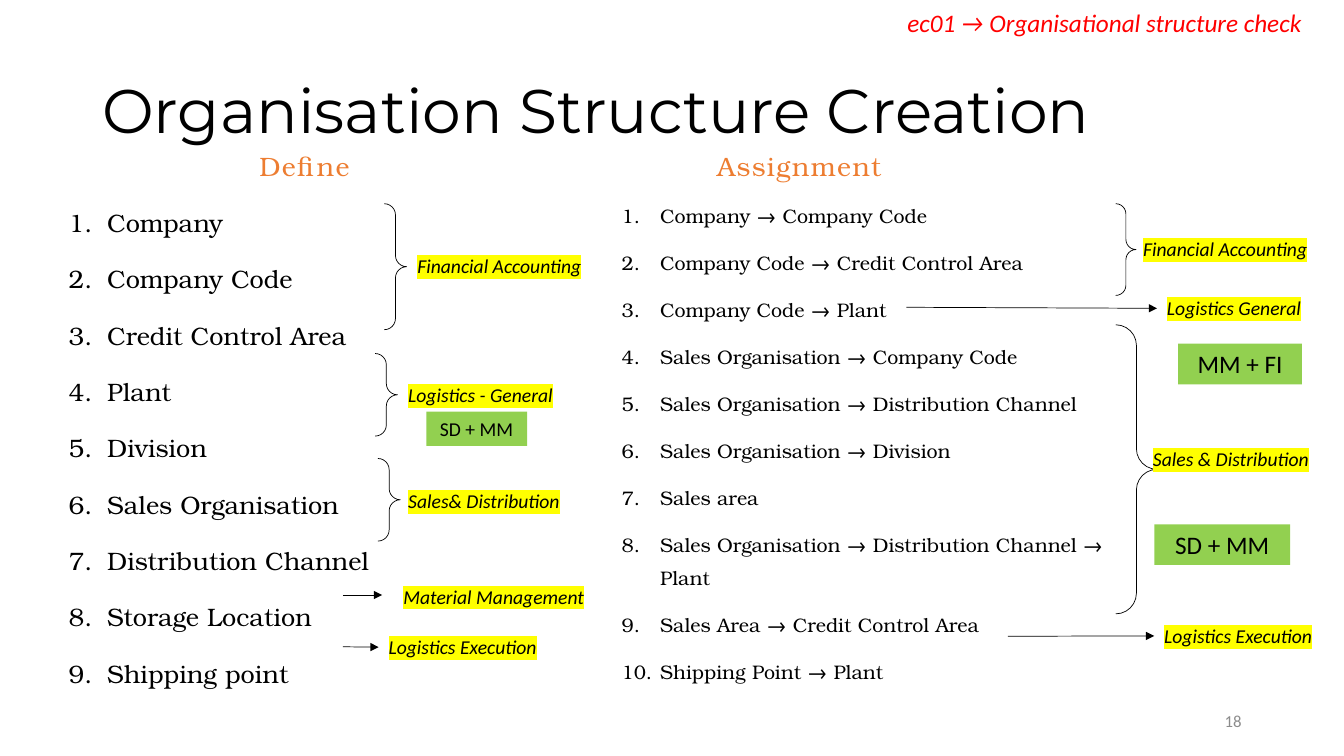
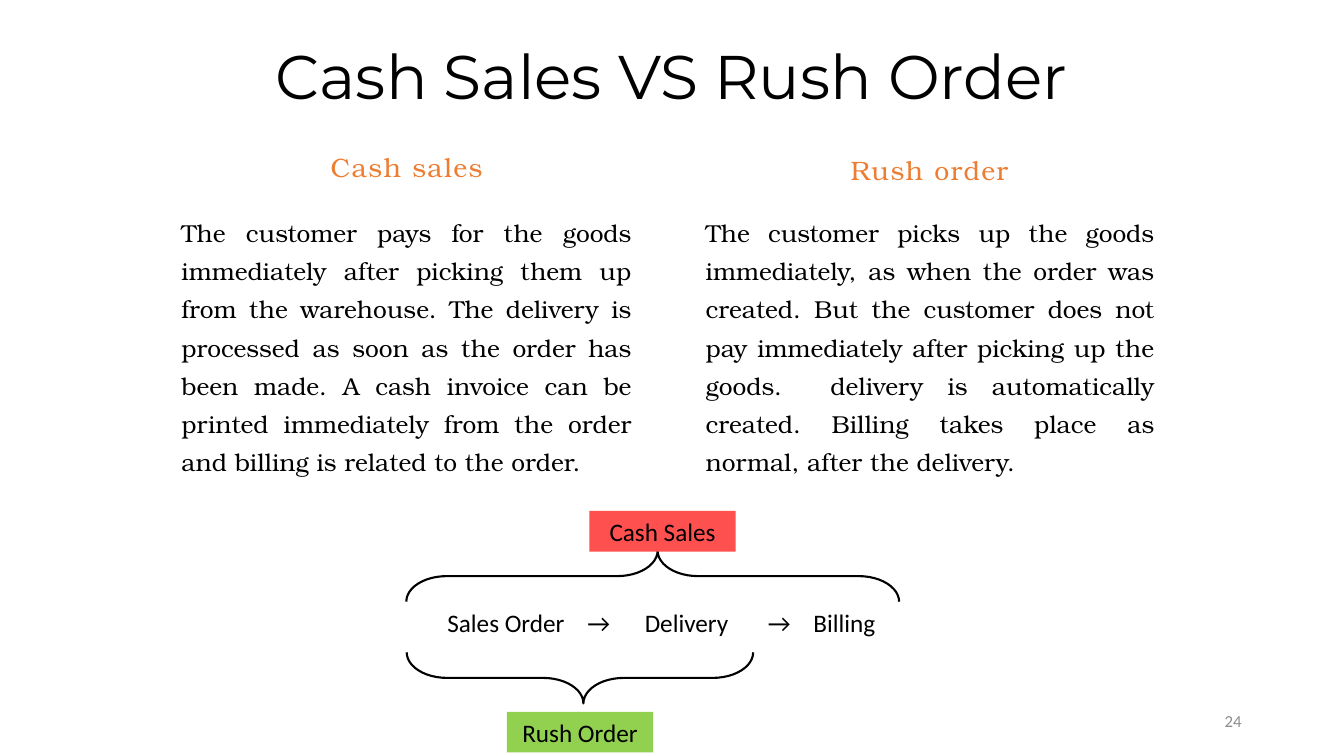
from dataclasses import dataclass, replace

from lxml import etree
from pptx import Presentation
from pptx.dml.color import RGBColor
from pptx.enum.shapes import MSO_CONNECTOR, MSO_SHAPE
from pptx.enum.text import MSO_ANCHOR, PP_ALIGN
from pptx.oxml.ns import qn
from pptx.util import Pt

COLOURS = {
    "ink": "000000", "heading": "ED7D31", "number": "8C8C8C", "hint": "FF0000",
    "marker": "FFFF00", "green": "92D050", "red": "FF5050",
}
SANS, SERIF, DISPLAY = "Calibri", "TeX Gyre Bonum", "Montserrat"
LEFT, CENTRE, RIGHT, JUSTIFY = PP_ALIGN.LEFT, PP_ALIGN.CENTER, PP_ALIGN.RIGHT, PP_ALIGN.JUSTIFY
TOP, MIDDLE, BOTTOM = MSO_ANCHOR.TOP, MSO_ANCHOR.MIDDLE, MSO_ANCHOR.BOTTOM
STRAIGHT = MSO_CONNECTOR.STRAIGHT
RECTANGLE, RIGHT_BRACE = MSO_SHAPE.RECTANGLE, MSO_SHAPE.RIGHT_BRACE
LEFT_SIDE = 1
NUMBER_INDENT = 27.5


@dataclass(frozen=True)
class Area:
    left: float
    top: float
    width: float
    height: float

    def lengths(self) -> list:
        return [Pt(value) for value in (self.left, self.top, self.width, self.height)]


@dataclass(frozen=True)
class Style:
    font: str = SANS
    size: float = 18
    colour: str = "ink"
    italic: bool = False
    marker: bool = False
    tracking: float = 0
    align: PP_ALIGN = LEFT
    anchor: MSO_ANCHOR = TOP
    line: float = 1.0
    before: float = 0
    numbered: bool = False
    tabs: tuple = ()


@dataclass(frozen=True)
class Brace:
    area: Area
    rotation: float = 0
    curl: float = 0.5
    tip: float = 0.5
    weight: float = 0.5


@dataclass(frozen=True)
class Label:
    text: str
    left: float
    top: float
    width: float = 138


@dataclass(frozen=True)
class Arrow:
    start: tuple
    end: tuple
    label: str = ""


@dataclass(frozen=True)
class Tag:
    text: str
    area: Area
    fill: str = "green"
    size: float = 18


TITLE = Style(DISPLAY, 44, anchor=MIDDLE, line=0.9)
HEADING = Style(SERIF, 19, "heading", tracking=1, align=CENTRE, line=0.9, before=10)
NUMBERED = Style(SERIF, 18, line=1.4, before=10, numbered=True)
PROSE = Style(SERIF, 17.5, align=JUSTIFY, line=1.3, before=10)
PAGE_NUMBER = Style(size=12, colour="number", align=RIGHT, anchor=MIDDLE)
HINT = Style(colour="hint", italic=True)
LABEL = Style(size=14, italic=True, marker=True)
FLOW = Style(tabs=(100, 141, 229, 261.5))

DEFINE_STEPS = (
    "Company", "Company Code", "Credit Control Area", "Plant", "Division",
    "Sales Organisation", "Distribution Channel", "Storage Location", "Shipping point",
)
ASSIGNMENT_STEPS = (
    "Company → Company Code",
    "Company Code → Credit Control Area",
    "Company Code → Plant",
    "Sales Organisation → Company Code",
    "Sales Organisation → Distribution Channel",
    "Sales Organisation → Division",
    "Sales area",
    "Sales Organisation → Distribution Channel → Plant",
    "Sales Area → Credit Control Area",
    "Shipping Point → Plant",
)
STRUCTURE_BRACES = (
    Brace(Area(274.5, 145.5, 16, 90)),
    Brace(Area(268, 252.5, 16, 59)),
    Brace(Area(270, 327.5, 16, 59)),
    Brace(Area(797, 145.5, 14.5, 65.5)),
    Brace(Area(797, 232, 29.5, 206.5)),
)
STRUCTURE_LABELS = {
    "define finance": Label("Financial Accounting", 291, 178),
    "define logistics": Label("Logistics - General", 284.5, 270),
    "define sales": Label("Sales& Distribution", 284.5, 345.5),
    "define materials": Label("Material Management", 281, 414, 168),
    "define execution": Label("Logistics Execution", 270.5, 450),
    "assign finance": Label("Financial Accounting", 809.5, 165.5),
    "assign sales": Label("Sales & Distribution", 816.5, 315.5),
    "assign logistics": Label("Logistics General", 826.5, 208, 130),
    "assign execution": Label("Logistics Execution", 824.5, 442, 130),
}
STRUCTURE_ARROWS = (
    Arrow((245, 425), (273, 425)),
    Arrow((245, 462), (270.5, 462), "define execution"),
    Arrow((647.5, 219.5), (826.5, 220), "assign logistics"),
    Arrow((720, 454.5), (824.5, 454), "assign execution"),
)
STRUCTURE_TAGS = (
    Tag("MM + FI", Area(841.5, 245.5, 88.5, 29)),
    Tag("SD + MM", Area(824.5, 374.5, 97, 29)),
    Tag("SD + MM", Area(304.5, 294, 72, 24.5), size=14),
)
ORDER_BRACES = (
    Brace(Area(448, 235.5, 36.5, 352), 270, 0.79, 0.51, 1.5),
    Brace(Area(396, 360.5, 36.5, 247.5), 90, 0.79, 0.49, 1.5),
)
ORDER_TAGS = (
    Tag("Cash Sales", Area(421, 365, 104.5, 29), "red"),
    Tag("Rush Order", Area(362, 508.5, 104.5, 29)),
)
CASH_SALES = (
    "The customer pays for the goods immediately after picking them up from the warehouse. "
    "The delivery is processed as soon as the order has been made. A cash invoice can be "
    "printed immediately from the order and billing is related to the order."
)
RUSH_ORDER = (
    "The customer picks up the goods immediately, as when the order was created. But the "
    "customer does not pay immediately after picking up the goods.  delivery is "
    "automatically created. Billing takes place as normal, after the delivery."
)


def colour(name: str) -> RGBColor:
    return RGBColor.from_string(COLOURS[name])


def add_span(para, text: str, style: Style) -> None:
    span = para.add_run()
    span.text = text
    span.font.size = Pt(style.size)
    span.font.italic = style.italic
    span.font.color.rgb = colour(style.colour)
    span.font.name = style.font
    properties = span.font._element
    if style.tracking:
        properties.set("spc", str(round(style.tracking * 100)))
    if style.marker:
        highlight = etree.Element(qn("a:highlight"))
        etree.SubElement(highlight, qn("a:srgbClr"), val=COLOURS["marker"])
        properties.find(qn("a:solidFill")).addnext(highlight)


def format_para(para, style: Style) -> None:
    para.alignment = style.align
    para.line_spacing = style.line
    para.space_before = Pt(style.before)
    properties = para._p.get_or_add_pPr()
    if style.numbered:
        properties.set("marL", str(Pt(NUMBER_INDENT)))
        properties.set("indent", str(-Pt(NUMBER_INDENT)))
        etree.SubElement(properties, qn("a:buAutoNum"), type="arabicPeriod")
    if style.tabs:
        stops = etree.SubElement(properties, qn("a:tabLst"))
        for position in style.tabs:
            etree.SubElement(stops, qn("a:tab"), pos=str(Pt(position)), algn="l")


def fill_text(frame, texts: tuple, style: Style) -> None:
    frame.word_wrap = True
    frame.vertical_anchor = style.anchor
    for index, text in enumerate(texts):
        para = frame.add_paragraph() if index else frame.paragraphs[0]
        format_para(para, style)
        add_span(para, text, style)


def add_text(page, area: Area, style: Style, *texts: str):
    box = page.shapes.add_textbox(*area.lengths())
    fill_text(box.text_frame, texts, style)
    return box


def add_label(page, label: Label):
    return add_text(page, Area(label.left, label.top, label.width, 24.5), LABEL, label.text)


def add_brace(page, brace: Brace) -> None:
    shape = page.shapes.add_shape(RIGHT_BRACE, *brace.area.lengths())
    shape.shadow.inherit = False
    shape.adjustments[0] = brace.curl
    shape.adjustments[1] = brace.tip
    shape.rotation = brace.rotation
    shape.fill.background()
    shape.line.color.rgb = colour("ink")
    shape.line.width = Pt(brace.weight)


def add_tag(page, tag: Tag) -> None:
    box = page.shapes.add_shape(RECTANGLE, *tag.area.lengths())
    box.shadow.inherit = False
    box.fill.solid()
    box.fill.fore_color.rgb = colour(tag.fill)
    box.line.fill.background()
    fill_text(box.text_frame, (tag.text,), Style(size=tag.size, align=CENTRE))


def add_arrow(page, arrow: Arrow, labels: dict) -> None:
    """Draw an arrow, joined to the left side of its label if it names one."""
    connector = page.shapes.add_connector(
        STRAIGHT, *(Pt(value) for value in arrow.start + arrow.end))
    if arrow.label:
        connector.end_connect(labels[arrow.label], LEFT_SIDE)
    connector.line.color.rgb = colour("ink")
    connector.line.width = Pt(0.5)
    etree.SubElement(connector.line._get_or_add_ln(), qn("a:tailEnd"), type="triangle")
    etree.SubElement(connector._element.spPr, qn("a:effectLst"))


def add_page(deck, title: str, number: str, align: PP_ALIGN, title_height: float):
    page = deck.slides.add_slide(deck.slide_layouts[6])
    add_text(page, Area(66, 29, 828, title_height), replace(TITLE, align=align), title)
    add_text(page, Area(678, 500.5, 216, 29), PAGE_NUMBER, number)
    return page


def build_structure_page(deck) -> None:
    page = add_page(deck, "Organisation Structure Creation", "18", LEFT, 104)
    heading = replace(HEADING, anchor=BOTTOM)
    add_text(page, Area(37.5, 68.5, 360, 65.5), heading, "Define")
    add_text(page, Area(391, 68.5, 360, 65.5), heading, "Assignment")
    add_text(page, Area(42, 136, 358.5, 353.5), NUMBERED, *DEFINE_STEPS)
    add_text(page, Area(437, 135.5, 377, 365), replace(NUMBERED, size=14), *ASSIGNMENT_STEPS)
    for brace in STRUCTURE_BRACES:
        add_brace(page, brace)
    labels = {name: add_label(page, label) for name, label in STRUCTURE_LABELS.items()}
    for arrow in STRUCTURE_ARROWS:
        add_arrow(page, arrow, labels)
    add_text(page, Area(641, 1.5, 319, 29), HINT, "ec01 → Organisational structure check")
    for tag in STRUCTURE_TAGS:
        add_tag(page, tag)


def build_order_page(deck) -> None:
    page = add_page(deck, "Cash Sales VS Rush Order", "24", CENTRE, 55.5)
    heading = replace(HEADING, anchor=MIDDLE)
    add_text(page, Area(122.5, 93, 336, 55.5), heading, "Cash sales")
    add_text(page, Area(496, 95, 336, 55.5), heading, "Rush order")
    add_text(page, Area(122.5, 146, 336, 204.5), PROSE, CASH_SALES)
    add_text(page, Area(497, 146, 335, 204.5), PROSE, RUSH_ORDER)
    add_text(page, Area(312.5, 430, 360, 29), FLOW, "Sales Order\t→\tDelivery\t→\tBilling")
    for brace in ORDER_BRACES:
        add_brace(page, brace)
    for tag in ORDER_TAGS:
        add_tag(page, tag)


def main() -> None:
    deck = Presentation()
    deck.slide_width, deck.slide_height = Pt(960), Pt(540)
    build_structure_page(deck)
    build_order_page(deck)
    deck.save("out.pptx")


if __name__ == "__main__":
    main()
